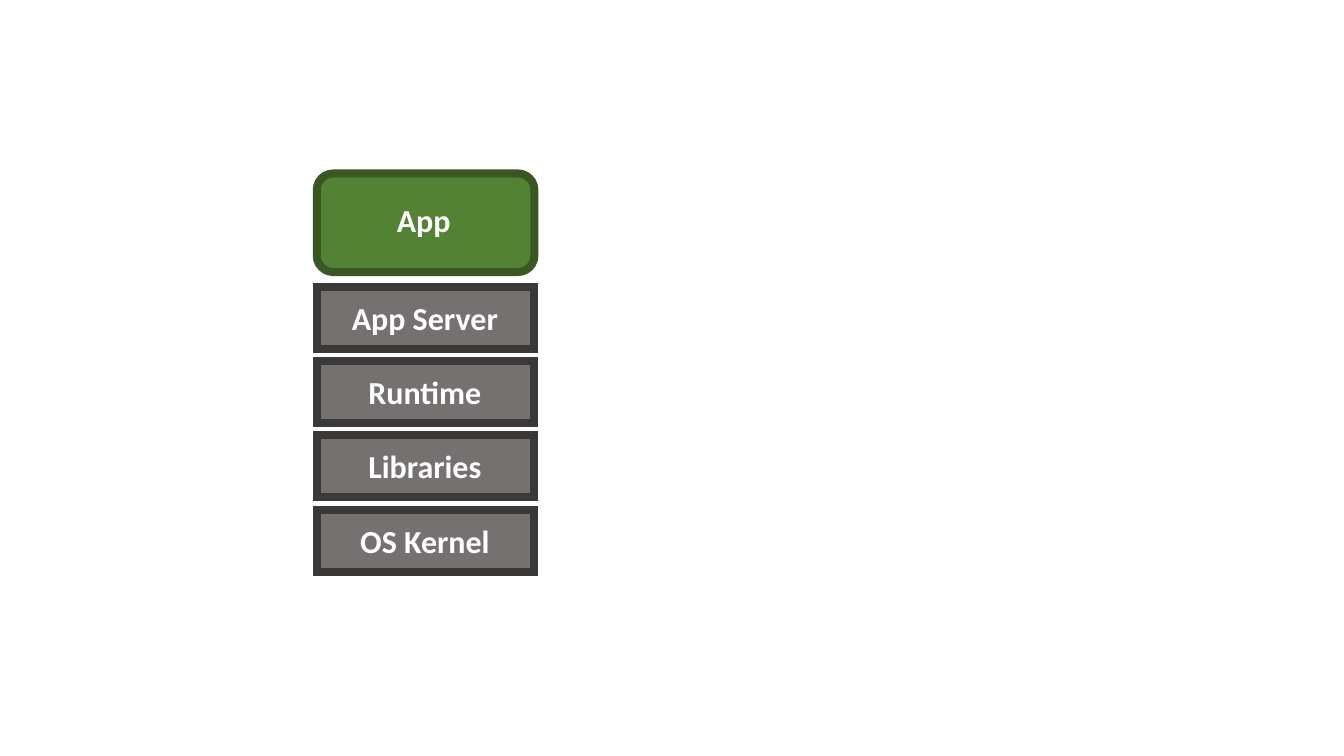
from dataclasses import dataclass

from lxml import etree
from pptx import Presentation
from pptx import util as u
from pptx.dml.color import RGBColor
from pptx.enum import shapes, text
from pptx.oxml import ns


@dataclass(frozen=True)
class Theme:
    font: str = "Calibri"
    size: int = 36
    border: int = 9
    ink: str = "FFFFFF"
    app: tuple = ("548235", "385723")
    layer: tuple = ("767171", "3B3838")


class StackSlide:
    """Draws boxes and labels as one group on the current slide."""

    def __init__(self, s, theme):
        self.theme = theme
        self.group = s.shapes.add_group_shape()

    def box(self, kind, x, y, w, h, colors):
        fill, line = colors
        sp = self.group.shapes.add_shape(kind, *map(u.Inches, (x, y, w, h)))
        sp.shadow.inherit = False
        sp.fill.solid()
        sp.fill.fore_color.rgb = RGBColor.from_string(fill)
        sp.line.color.rgb = RGBColor.from_string(line)
        sp.line.width = u.Pt(self.theme.border)
        etree.SubElement(sp.line._get_or_add_ln(), ns.qn("a:miter"), lim="800000")

    def label(self, words, x, y, w, h=0.71):
        sp = self.group.shapes.add_textbox(*map(u.Inches, (x, y, w, h)))
        tf = sp.text_frame
        tf.word_wrap = True
        tf.auto_size = text.MSO_AUTO_SIZE.SHAPE_TO_FIT_TEXT
        p = tf.paragraphs[0]
        p.alignment = text.PP_ALIGN.CENTER
        r = p.add_run()
        r.text = words
        r.font.name = self.theme.font
        r.font.size = u.Pt(self.theme.size)
        r.font.bold = True
        r.font.color.rgb = RGBColor.from_string(self.theme.ink)


def main():
    prs = Presentation()
    prs.slide_width, prs.slide_height = u.Inches(21), u.Inches(11.81)
    theme = Theme()
    stack = StackSlide(prs.slides.add_slide(prs.slide_layouts[6]), theme)

    left, width = 4.95, 3.4
    stack.box(shapes.MSO_SHAPE.ROUNDED_RECTANGLE, left, 2.71, width, 1.54, theme.app)
    stack.label("App", 5.76, 3.09, 1.72)

    top, pitch = 4.48, 1.16
    for i, name in enumerate(("App Server", "Runtime", "Libraries", "OS Kernel")):
        y = top + i * pitch
        stack.box(shapes.MSO_SHAPE.RECTANGLE, left, y, width, 0.97, theme.layer)
        stack.label(name, left + 0.06, y + 0.13, 3.26)

    prs.save("out.pptx")


if __name__ == "__main__":
    main()
